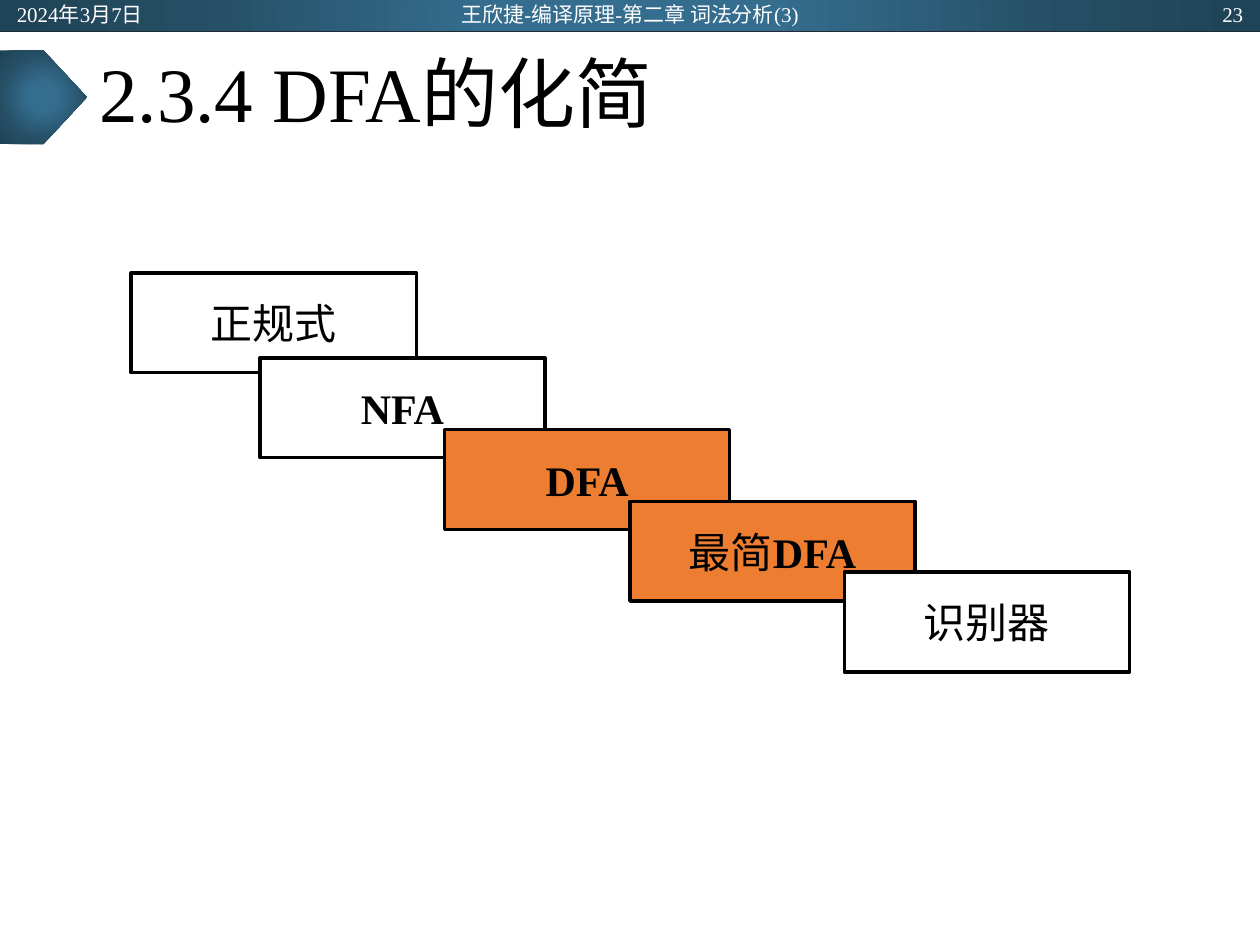
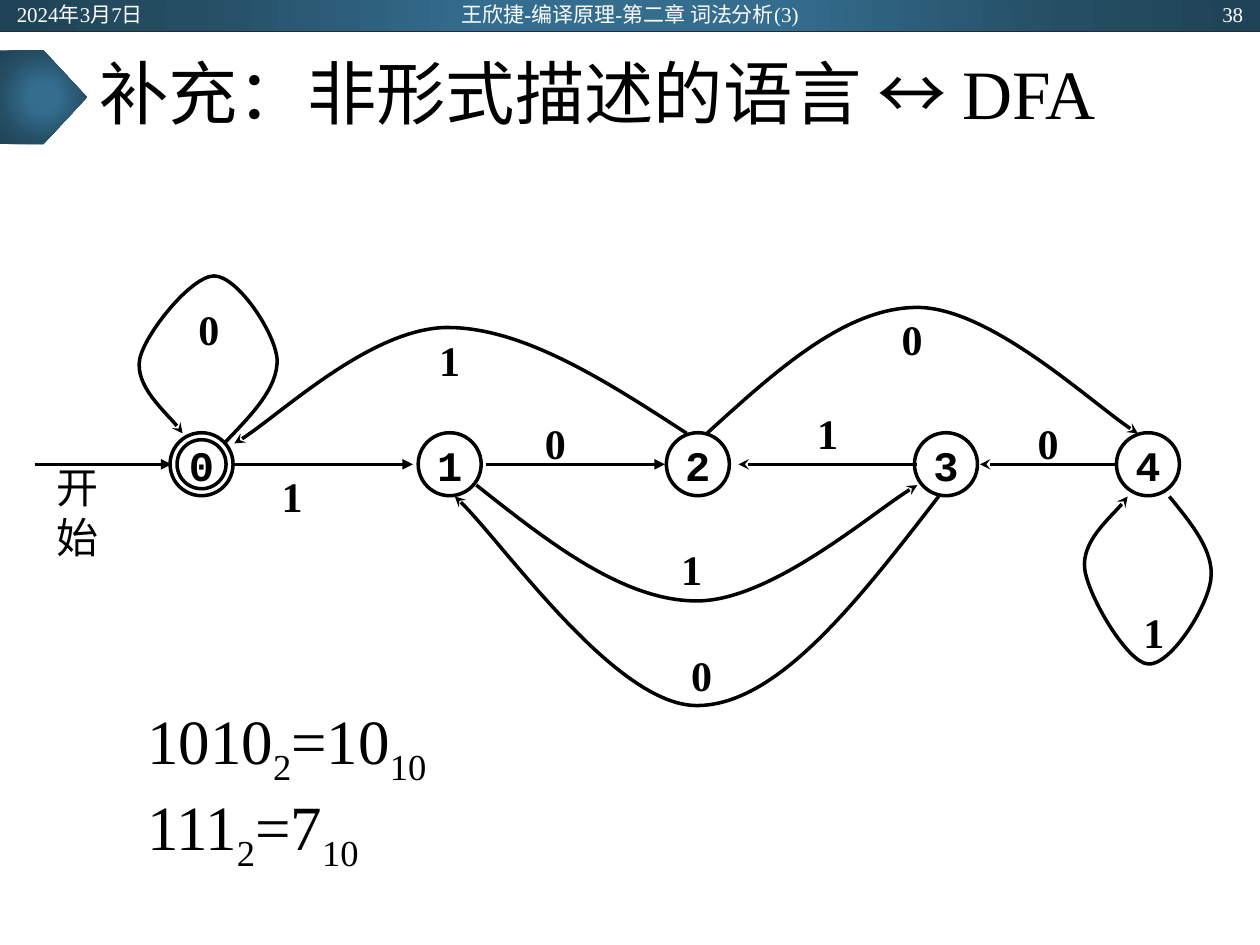
from lxml import etree
from pptx import Presentation
from pptx.dml.color import RGBColor as RGB
from pptx.enum.shapes import MSO_CONNECTOR as LINK, MSO_SHAPE as SHAPE
from pptx.enum.text import MSO_ANCHOR as ANCHOR, PP_ALIGN as ALIGN
from pptx.oxml import parse_xml
from pptx.oxml.ns import nsdecls, qn
from pptx.util import Pt

COLORS = {"ink": "000000", "paper": "FFFFFF", "accent": "ED7D31", "rule": "222A35",
          "light": "346D8E", "mid": "254E64", "dark": "204457"}
SERIF, MONO = "Times New Roman", "Courier New"

# Radial gradient of the top band and the title marker
STOPS = [(0, "light"), (23, "light"), (69, "mid"), (97, "dark")]
GRADIENT = (f'<a:gradFill {nsdecls("a")} rotWithShape="1"><a:gsLst>'
            + "".join(f'<a:gs pos="{pos * 1000}"><a:srgbClr val="{COLORS[key]}"/></a:gs>'
                      for pos, key in STOPS)
            + '</a:gsLst><a:path path="circle"><a:fillToRect l="50000" t="50000" '
              'r="50000" b="50000"/></a:path></a:gradFill>')


def write(shape, text, size=24, font=SERIF, bold=False, align=ALIGN.CENTER,
          color="ink", wrap=False):
    frame = shape.text_frame
    frame.word_wrap = wrap
    frame.vertical_anchor = ANCHOR.MIDDLE
    para = frame.paragraphs[0]
    para.alignment = align
    para.add_run().text = text
    para.font.size, para.font.name, para.font.bold = Pt(size), font, bold
    para.font.color.rgb = RGB.from_string(COLORS[color])
    return para


def stroke(shape, arrow=None, fill=None, color="ink", width=2):
    shape.line.color.rgb = RGB.from_string(COLORS[color])
    shape.line.width = Pt(width)
    props = shape._element.spPr
    if arrow:
        etree.SubElement(props.find(qn("a:ln")), qn("a:tailEnd"), type=arrow)
    if hasattr(shape, "fill"):
        if fill:
            shape.fill.solid()
            shape.fill.fore_color.rgb = RGB.from_string(COLORS[fill])
        else:
            shape.fill.background()
    etree.SubElement(props, qn("a:effectLst"))


deck = Presentation()
deck.slide_width, deck.slide_height = Pt(720), Pt(540)

# Shared band, marker, title and header texts
for title, size, number in [("2.3.4 DFA的化简", 44, "23"),
                            ("补充：非形式描述的语言 ↔ DFA", 39.6, "38")]:
    shapes = deck.slides.add_slide(deck.slide_layouts[6]).shapes
    for kind, top, wide, high in [(SHAPE.RECTANGLE, 0, 720, 18),
                                  (SHAPE.PENTAGON, 28.8, 49.7, 53.5)]:
        band = shapes.add_shape(kind, 0, Pt(top), Pt(wide), Pt(high))
        band.shadow.inherit = False
        band.line.fill.background()
        band.fill.background()
        props = band._element.spPr
        props.replace(props.find(qn("a:noFill")), parse_xml(GRADIENT))
    rule = shapes.add_connector(LINK.STRAIGHT, 0, Pt(18), Pt(720), Pt(18))
    stroke(rule, color="rule", width=0.5)

    box = shapes.add_textbox(Pt(49.7), Pt(18), Pt(620.6), Pt(75))
    write(box, title, size, align=ALIGN.LEFT, wrap=True).line_spacing = 0.9
    for text, left, wide, align in [
            ("2024年3月7日", 2.5, 162, ALIGN.LEFT),
            ("王欣捷-编译原理-第二章 词法分析(3)", 238.5, 243, ALIGN.CENTER),
            (number, 555.5, 162, ALIGN.RIGHT)]:
        box = shapes.add_textbox(Pt(left), Pt(0.9), Pt(wide), Pt(14.5))
        write(box, text, 12, align=align, color="paper", wrap=True)

steps, graph = [slide.shapes for slide in deck.slides]

# Slide 1: staircase from regular expression to recogniser
for text, latin, left, top, fill in [("正规式", "", 75, 156, None),
                                     ("", "NFA", 148.5, 204.5, "paper"),
                                     ("", "DFA", 254, 245.5, "accent"),
                                     ("最简", "DFA", 360, 286.5, "accent"),
                                     ("识别器", "", 482.5, 327, "paper")]:
    box = steps.add_shape(SHAPE.RECTANGLE, Pt(left), Pt(top), Pt(163), Pt(57))
    stroke(box, fill=fill)
    para = write(box, text or latin, bold=not text)
    if text and latin:
        run = para.add_run()
        run.text, run.font.bold = latin, True

# Slide 2: states, the accepting one with an inner ring
MID = 265.3
states = [(115.2 + 141.8 * i, 36, str(i) if i else "") for i in range(4)]
states += [(656, 36, "4"), (115.2, 28, "0")]
for mid, size, name in states:
    ring = graph.add_shape(SHAPE.OVAL, Pt(mid - size / 2), Pt(MID - size / 2),
                           Pt(size), Pt(size))
    stroke(ring)
    if name:
        write(ring, name, font=MONO, bold=True)

# Straight moves
for start, end, arrow in [(20, 98, "triangle"), (134, 236, "triangle"),
                          (278, 380, "triangle"), (524, 422, "stealth"),
                          (638, 560, "stealth")]:
    move = graph.add_connector(LINK.STRAIGHT, Pt(start), Pt(MID), Pt(end), Pt(MID))
    stroke(move, arrow)

# Curved moves: a start point, then three Bezier points per segment
curves = [
    [(128, 253.5), (143.3, 237.6), (159.1, 221.8), (158.4, 205.2),
     (157, 189.4), (135.4, 157.7), (122.4, 157.7),
     (109.4, 157.7), (82.8, 190.8), (79.9, 205.2),
     (77, 220.3), (100.1, 240.5), (104.4, 247.7)],
    [(272.2, 277.2), (313.9, 310.3), (356.4, 343.4), (398.2, 343.4),
     (439.9, 343.4), (503.3, 288.7), (524.2, 277.2)],
    [(403.9, 247.7), (443.5, 211.7), (483.1, 175.7), (524.2, 175.7),
     (565.2, 175.7), (629.3, 235.4), (650.2, 247.7)],
    [(392.4, 247.7), (344.9, 216.7), (297.4, 186.5), (254.2, 187.2),
     (211, 188.6), (154.1, 242.6), (133.9, 253.4)],
    [(536.4, 283.7), (490.3, 343.4), (444.2, 403.2), (398.2, 403.2),
     (352.1, 403.2), (283, 303.8), (259.9, 283.7)],
    [(668.2, 283.7), (681.1, 299.5), (694.1, 315.4), (691.9, 331.2),
     (689.8, 347.8), (668.2, 380.9), (655.9, 379.4),
     (644.4, 378.7), (622.1, 341.3), (619.9, 325.4),
     (617.8, 309.6), (640.1, 290.9), (644.4, 283.7)],
]
for points in curves:
    first, *rest = [(Pt(x), Pt(y)) for x, y in points]
    pen = graph.build_freeform(*first)
    pen.add_line_segments(rest, close=False)
    curve = pen.convert_to_shape()
    stroke(curve, "stealth")
    track = curve._element.find(".//" + qn("a:path"))
    track.set("fill", "none")
    lines = track.findall(qn("a:lnTo"))
    for i in range(0, len(lines), 3):
        bend = etree.SubElement(track, qn("a:cubicBezTo"))
        for line in lines[i:i + 3]:
            bend.append(line[0])
            track.remove(line)

# Move labels
for text, left, top in [("1", 152, 271.4), ("0", 104.4, 175.7), ("0", 302.4, 241.2),
                        ("1", 380.2, 313.2), ("0", 506.2, 181.4), ("1", 242, 193.7),
                        ("0", 386, 373.7), ("1", 458, 235.4), ("0", 584, 241.2),
                        ("1", 644.4, 349.2)]:
    write(graph.add_textbox(Pt(left), Pt(top), Pt(30), Pt(24)), text, bold=True)
write(graph.add_textbox(Pt(14.4), Pt(277.2), Pt(59.8), Pt(30.2)), "开始", font=MONO)

# Worked numbers with their bases as subscripts
sums = graph.add_textbox(Pt(77), Pt(397.5), Pt(197), Pt(94.3)).text_frame
sums.word_wrap = True
for i, parts in enumerate([("1010", "2", "=10", "10"), ("111", "2", "=7", "10")]):
    para = sums.add_paragraph() if i else sums.paragraphs[0]
    for j, part in enumerate(parts):
        run = para.add_run()
        run.text = part
        if j % 2:
            run._r.get_or_add_rPr().set("baseline", "-25000")
    para.font.size, para.font.name = Pt(36), SERIF
    para.font.color.rgb = RGB.from_string(COLORS["ink"])

deck.save("out.pptx")
